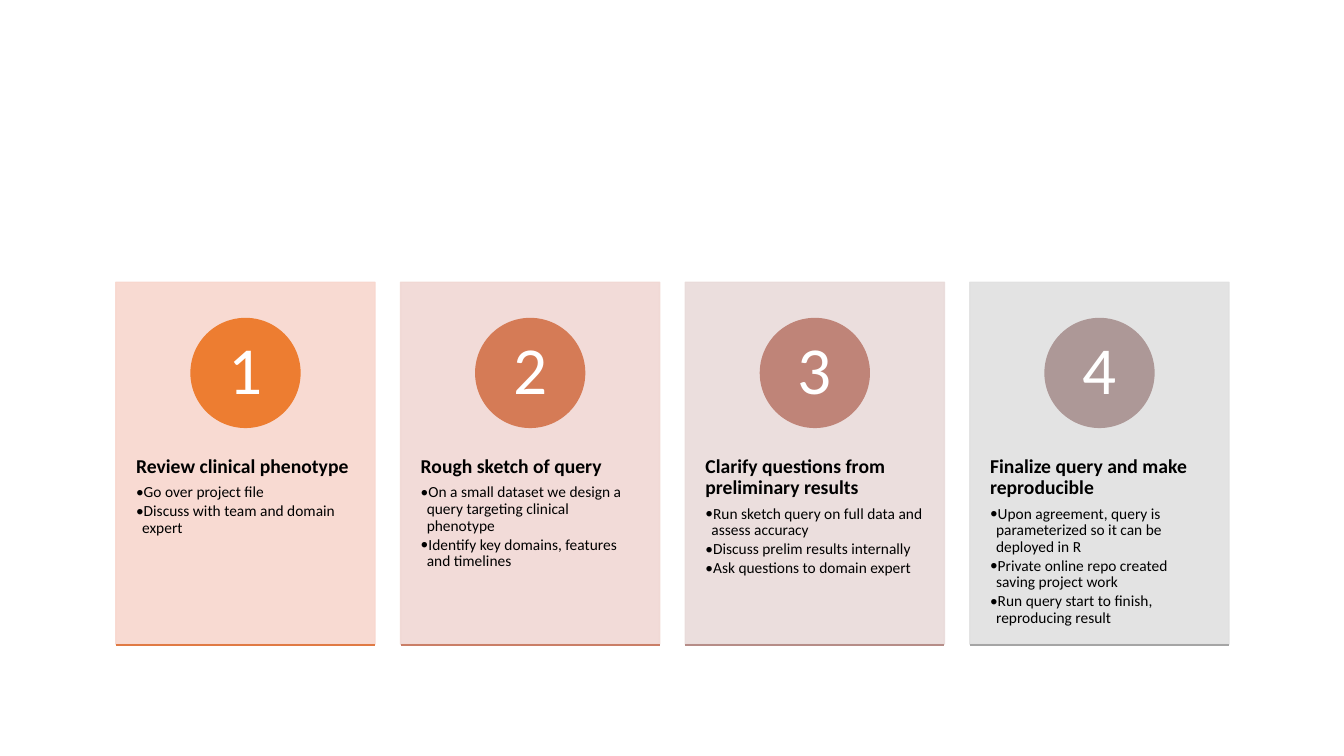
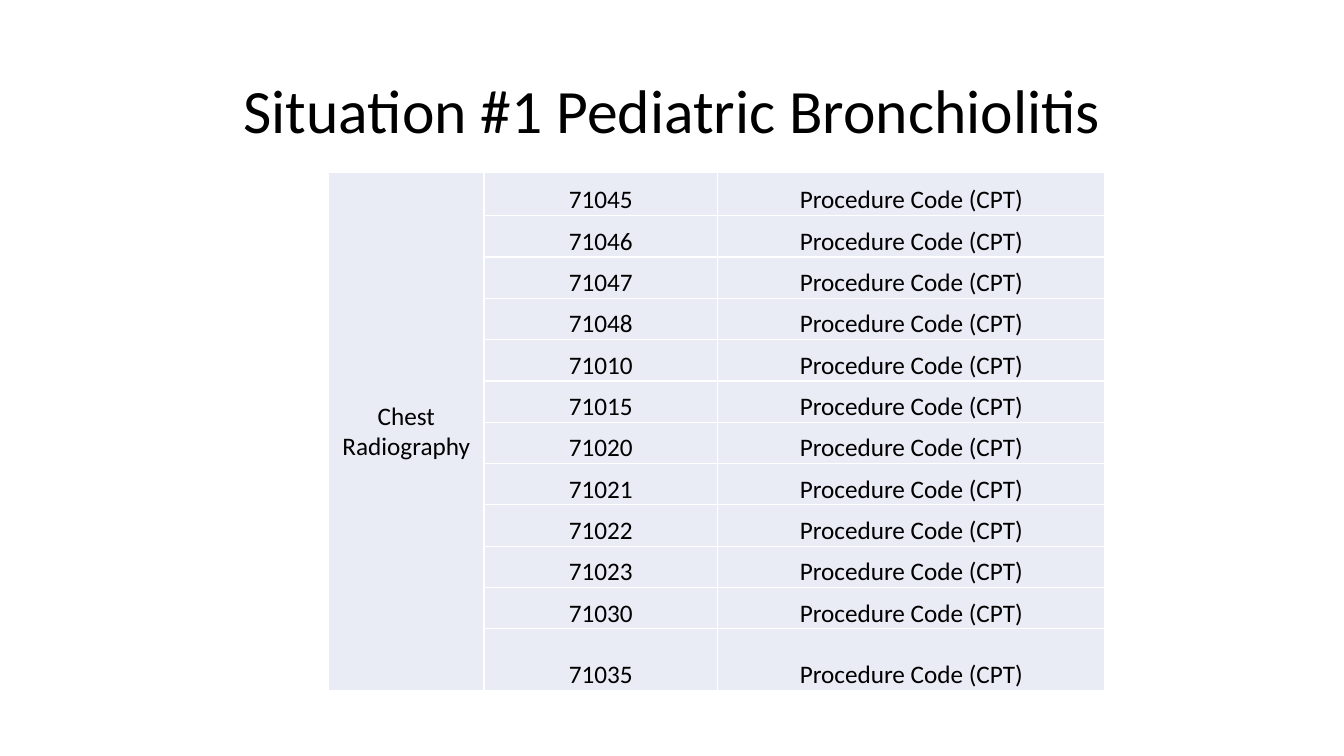
from dataclasses import dataclass

from lxml.etree import SubElement
from pptx import Presentation
from pptx.enum.shapes import MSO_CONNECTOR, MSO_SHAPE
from pptx.enum.text import MSO_ANCHOR, PP_ALIGN
from pptx.dml.color import RGBColor
from pptx.oxml.ns import qn
from pptx.util import Inches, Pt

# Shared style
FONT = "Calibri"
BLACK, WHITE = "000000", "FFFFFF"
CELL_FILL = "E9EBF5"
LINE_SPACING = 0.9

# Card grid, in inches
GRID_LEFT, GRID_WIDTH = 1.15, 11.04
CARD_TOP, CARD_WIDTH, CARD_HEIGHT = 2.8, 2.57, 3.59
BADGE_TOP, BADGE_SIZE = 3.16, 1.08
BODY_TOP, BODY_HEIGHT = 4.17, 2.16
RULE_TOP = 6.4


@dataclass
class Step:
    heading: str
    bullets: list[str]
    card_color: str
    badge_color: str
    rule_color: str


STEPS = [
    Step("Review clinical phenotype",
         ["Go over project file", "Discuss with team and domain expert"],
         "F8D7CE", "ED7D31", "E07A44"),
    Step("Rough sketch of query",
         ["On a small dataset we design a query targeting clinical phenotype",
          "Identify key domains, features and timelines"],
         "F1D8D4", "D57B56", "CA7E67"),
    Step("Clarify questions from preliminary results",
         ["Run sketch query on full data and assess accuracy",
          "Discuss prelim results internally",
          "Ask questions to domain expert"],
         "E9DBDA", "BF8478", "B68D88"),
    Step("Finalize query and make reproducible",
         ["Upon agreement, query is parameterized so it can be deployed in R",
          "Private online repo created saving project work",
          "Run query start to finish, reproducing result"],
         "E1E1E1", "AD9897", "A5A5A5"),
]

CODES = ["71045", "71046", "71047", "71048", "71010", "71015",
         "71020", "71021", "71022", "71023", "71030", "71035"]
COLUMN_WIDTHS = [1.54, 2.32, 3.84]
ROW_HEIGHTS = [0.43] + [0.41] * (len(CODES) - 2) + [0.61]


def paint(color_format, color: str, opacity: int = 100) -> None:
    """Fill or line formats both take their colour here."""
    color_format.solid()
    color_format.fore_color.rgb = RGBColor.from_string(color)
    if opacity < 100:
        element = color_format._xPr.find(qn("a:solidFill"))[0]
        SubElement(element, qn("a:alpha"), val=str(opacity * 1000))


def set_insets(holder, left: float, top: float, right: float, bottom: float) -> None:
    holder.margin_left, holder.margin_top = Inches(left), Inches(top)
    holder.margin_right, holder.margin_bottom = Inches(right), Inches(bottom)


def add_text(frame, text: str, *, size: float, color: str = BLACK, bold: bool = False,
             align=PP_ALIGN.LEFT, line_spacing: float = LINE_SPACING,
             space_after: float = 0, bullet: bool = False) -> None:
    """Write one paragraph, using the empty first one when there is one."""
    first = frame.paragraphs[0]
    paragraph = frame.add_paragraph() if first.runs else first
    paragraph.alignment = align
    paragraph.line_spacing = line_spacing
    paragraph.space_after = Pt(space_after)
    if bullet:
        paragraph.level = 1
        properties = paragraph._p.get_or_add_pPr()
        properties.set("marL", str(Inches(0.06)))
        properties.set("indent", str(-Inches(0.06)))
        SubElement(properties, qn("a:buFont"), typeface=FONT)
        SubElement(properties, qn("a:buChar"), char="•")
    run = paragraph.add_run()
    run.text = text
    run.font.name, run.font.size, run.font.bold = FONT, Pt(size), bold
    run.font.color.rgb = RGBColor.from_string(color)


def add_text_box(slide, left: float, top: float, width: float, height: float):
    frame = slide.shapes.add_textbox(
        Inches(left), Inches(top), Inches(width), Inches(height)).text_frame
    frame.word_wrap = True
    return frame


def add_shape(slide, kind, left: float, top: float, width: float, height: float,
              color: str, opacity: int = 100):
    shape = slide.shapes.add_shape(
        kind, Inches(left), Inches(top), Inches(width), Inches(height))
    shape.shadow.inherit = False
    paint(shape.fill, color, opacity)
    paint(shape.line.fill, color, opacity)
    shape.line.width = Pt(1)
    return shape


def add_rule(slide, left: float, top: float, width: float, color: str) -> None:
    rule = slide.shapes.add_connector(
        MSO_CONNECTOR.STRAIGHT, Inches(left), Inches(top),
        Inches(left + width), Inches(top))
    paint(rule.line.fill, color)
    rule.line.width = Pt(1)
    SubElement(rule._element.spPr, qn("a:effectLst"))


def add_step(slide, number: int, left: float, step: Step) -> None:
    # Card
    add_shape(slide, MSO_SHAPE.RECTANGLE, left, CARD_TOP, CARD_WIDTH, CARD_HEIGHT,
              step.card_color, opacity=90)
    # Heading and bullets
    body = add_text_box(slide, left, BODY_TOP, CARD_WIDTH, BODY_HEIGHT)
    set_insets(body, 0.2, 0.36, 0.2, 0.36)
    add_text(body, step.heading, size=14, bold=True, space_after=4.9)
    for bullet in step.bullets:
        add_text(body, bullet, size=11, space_after=1.65, bullet=True)
    # Numbered badge
    badge = add_shape(slide, MSO_SHAPE.OVAL, left + (CARD_WIDTH - BADGE_SIZE) / 2,
                      BADGE_TOP, BADGE_SIZE, BADGE_SIZE, step.badge_color)
    badge.text_frame.vertical_anchor = MSO_ANCHOR.MIDDLE
    set_insets(badge.text_frame, 0.08, 0.01, 0.08, 0.01)
    add_text(badge.text_frame, str(number), size=48, color=WHITE, align=PP_ALIGN.CENTER)
    # Bottom rule
    add_rule(slide, left, RULE_TOP, CARD_WIDTH, step.rule_color)


def style_cell(cell) -> None:
    properties = cell._tc.get_or_add_tcPr()
    for side in ("lnL", "lnR", "lnT", "lnB"):
        border = SubElement(properties, qn(f"a:{side}"), w=str(Pt(1)))
        fill = SubElement(border, qn("a:solidFill"))
        SubElement(fill, qn("a:srgbClr"), val=WHITE)
    paint(cell.fill, CELL_FILL)
    set_insets(cell, 0.01, 0.01, 0.01, 0)


def write_cell(cell, text: str, anchor=MSO_ANCHOR.BOTTOM) -> None:
    cell.vertical_anchor = anchor
    add_text(cell.text_frame, text, size=18, align=PP_ALIGN.CENTER, line_spacing=1.0)


def add_code_table(slide, left: float, top: float) -> None:
    table = slide.shapes.add_table(
        len(ROW_HEIGHTS), len(COLUMN_WIDTHS), Inches(left), Inches(top),
        Inches(sum(COLUMN_WIDTHS)), Inches(sum(ROW_HEIGHTS))).table
    table.first_row = table.horz_banding = False
    for column, width in zip(table.columns, COLUMN_WIDTHS):
        column.width = Inches(width)
    for row, height in zip(table.rows, ROW_HEIGHTS):
        row.height = Inches(height)
    for cell in table.iter_cells():
        style_cell(cell)
    # One category cell spans every code
    category = table.cell(0, 0)
    category.merge(table.cell(len(CODES) - 1, 0))
    write_cell(category, "Chest Radiography", MSO_ANCHOR.MIDDLE)
    for index, code in enumerate(CODES):
        write_cell(table.cell(index, 1), code)
        write_cell(table.cell(index, 2), "Procedure Code (CPT)")


def build_process_slide(slide) -> None:
    pitch = (GRID_WIDTH - CARD_WIDTH) / (len(STEPS) - 1)
    for index, step in enumerate(STEPS):
        add_step(slide, index + 1, GRID_LEFT + index * pitch, step)


def build_code_slide(slide) -> None:
    title = add_text_box(slide, 0.92, 0.4, 11.5, 1.45)
    title.vertical_anchor = MSO_ANCHOR.MIDDLE
    add_text(title, "Situation #1 Pediatric Bronchiolitis", size=44,
             align=PP_ALIGN.CENTER)
    add_code_table(slide, 3.26, 1.71)


def main() -> None:
    presentation = Presentation()
    presentation.slide_width, presentation.slide_height = Inches(13.33), Inches(7.5)
    blank = presentation.slide_layouts[6]
    for build in (build_process_slide, build_code_slide):
        build(presentation.slides.add_slide(blank))
    presentation.save("out.pptx")


if __name__ == "__main__":
    main()
